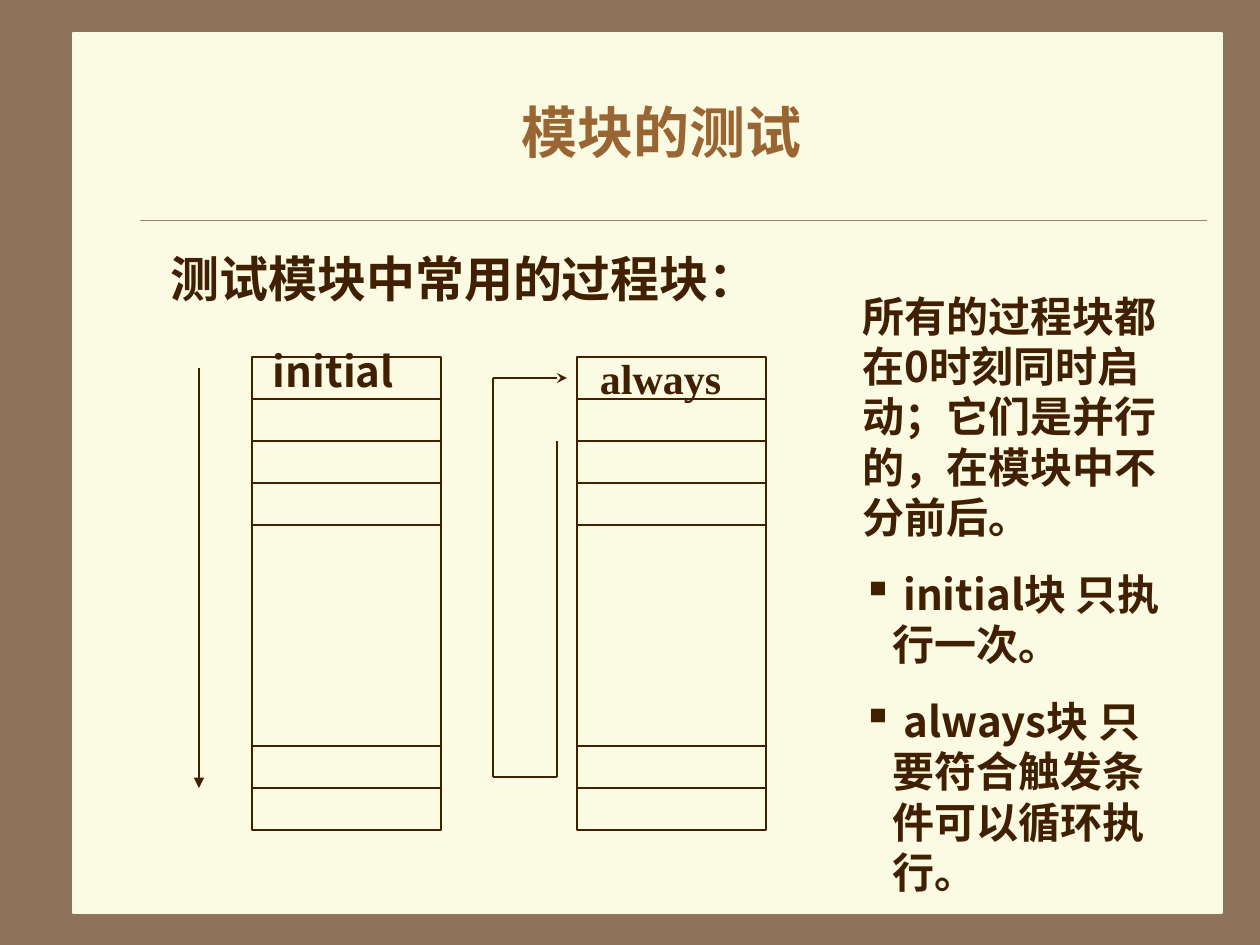
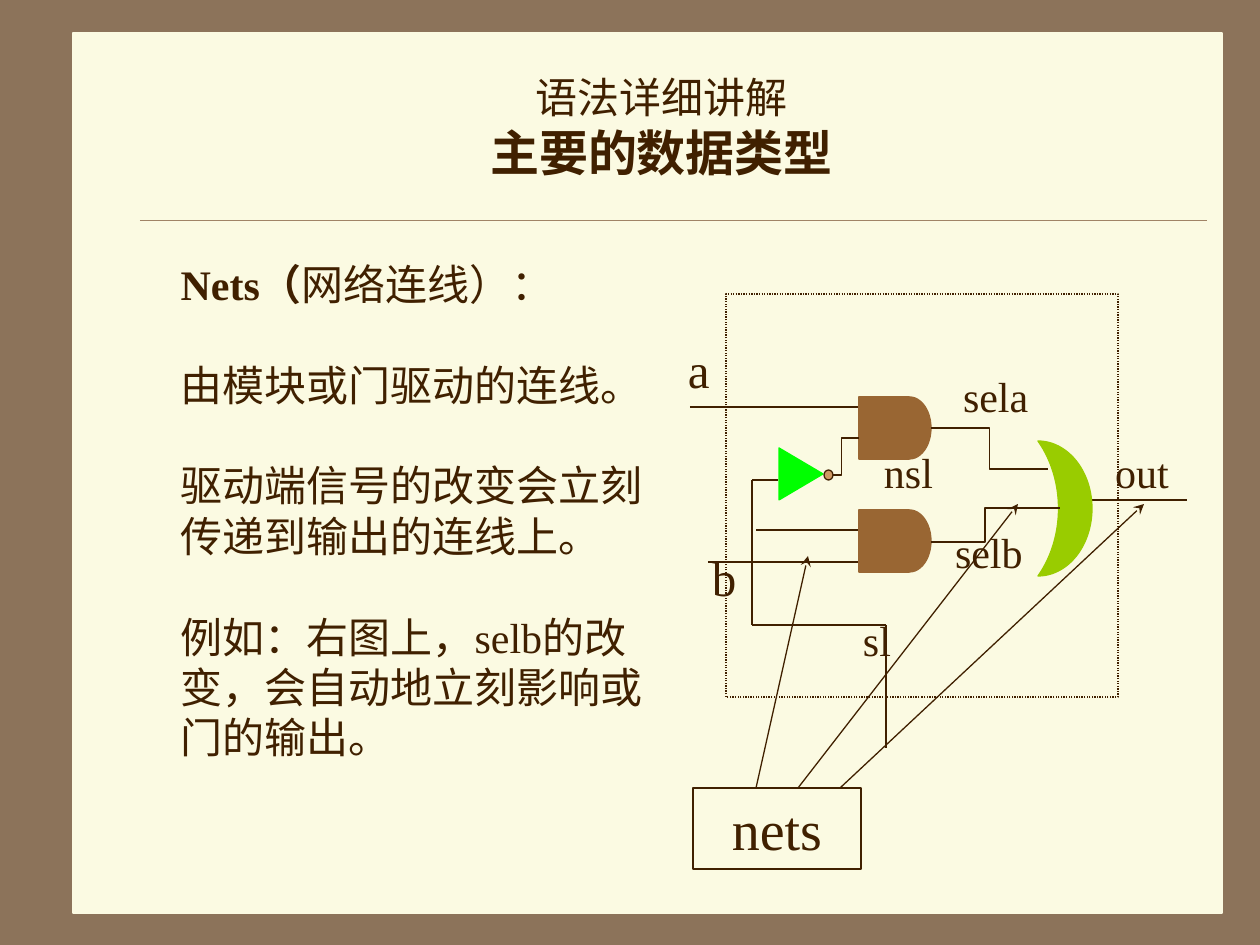
from dataclasses import dataclass
from itertools import pairwise

from lxml import etree
from pptx import Presentation
from pptx.dml.color import RGBColor
from pptx.enum.dml import MSO_LINE
from pptx.enum.shapes import MSO_CONNECTOR, MSO_SHAPE
from pptx.enum.text import MSO_ANCHOR, MSO_AUTO_SIZE, PP_ALIGN
from pptx.oxml.ns import qn
from pptx.slide import Slide
from pptx.util import Emu, Pt

PX = 914400 / 126
PX_PER_POINT = 126 / 72
LINE_HEIGHT = 1.2

FRAME = RGBColor(0x8C, 0x73, 0x5A)
PAPER = RGBColor(0xFB, 0xFA, 0xE2)
RULE = RGBColor(0xA0, 0x83, 0x66)
INK = RGBColor(0x40, 0x20, 0x00)
BROWN = RGBColor(0x99, 0x66, 0x33)
TAN = RGBColor(0xCE, 0x99, 0x64)
GREEN = RGBColor(0x00, 0xFF, 0x00)
LIME = RGBColor(0x99, 0xCC, 0x00)

SANS = "Noto Sans CJK SC"
SERIF = "Times New Roman"

RECTANGLE, OVAL = MSO_SHAPE.RECTANGLE, MSO_SHAPE.OVAL
TRIANGLE, MOON = MSO_SHAPE.ISOSCELES_TRIANGLE, MSO_SHAPE.MOON
STRAIGHT, ELBOW = MSO_CONNECTOR.STRAIGHT, MSO_CONNECTOR.ELBOW
DOTTED = MSO_LINE.ROUND_DOT
TOP, MIDDLE = MSO_ANCHOR.TOP, MSO_ANCHOR.MIDDLE
LEFT, CENTER = PP_ALIGN.LEFT, PP_ALIGN.CENTER
FIXED_SIZE = MSO_AUTO_SIZE.NONE


def px(*lengths):
    return [Emu(round(length * PX)) for length in lengths]


def set_type(para, size, font=SANS, bold=False, color=INK, align=LEFT):
    para.alignment = align
    para.space_before = Pt(0)
    para.line_spacing = Pt(size * LINE_HEIGHT)
    for run in para.runs:
        run.font.size = Pt(size)
        run.font.bold = bold
        run.font.color.rgb = color
        run.font.name = font
        etree.SubElement(run.font._element, qn("a:ea"), typeface=SANS)


def set_indent(para, margin, bullet=None):
    """Hang the first line by the margin, with or without a bullet."""
    props = para._p.get_or_add_pPr()
    width = px(margin)[0]
    props.set("marL", str(width))
    props.set("indent", str(-width))
    if bullet:
        etree.SubElement(props, qn("a:buChar"), char=bullet)
    else:
        etree.SubElement(props, qn("a:buNone"))


@dataclass
class Region:
    """Part of a page; everything in it is placed from its left top corner."""
    page: Slide
    left: int = 0
    top: int = 0

    def shape(self, kind, left, top, width, height, fill=None, line=INK):
        shape = self.page.shapes.add_shape(
            kind, *px(self.left + left, self.top + top, width, height))
        shape.shadow.inherit = False
        if fill is None:
            shape.fill.background()
        else:
            shape.fill.solid()
            shape.fill.fore_color.rgb = fill
        shape.line.color.rgb = line
        shape.line.width = Pt(0.75)
        return shape

    def line(self, start, end, arrow=None, bend=None, color=INK, weight=0.75):
        """Draw a wire; bend is the share of its width where an elbow turns."""
        connector = self.page.shapes.add_connector(
            STRAIGHT if bend is None else ELBOW,
            *px(self.left + start[0], self.top + start[1],
                self.left + end[0], self.top + end[1]))
        connector.line.color.rgb = color
        connector.line.width = Pt(weight)
        props = connector.element.spPr
        if arrow:
            etree.SubElement(props.find(qn("a:ln")), qn("a:tailEnd"), type=arrow)
        if bend is not None:
            guides = props.find(qn("a:prstGeom")).find(qn("a:avLst"))
            etree.SubElement(guides, qn("a:gd"), name="adj1",
                             fmla=f"val {round(bend * 100000)}")
        etree.SubElement(props, qn("a:effectLst"))
        return connector

    def path_line(self, points, arrow=None):
        """Join the points; only the last stretch carries the arrowhead."""
        stretches = list(pairwise(points))
        for start, end in stretches[:-1]:
            self.line(start, end)
        self.line(*stretches[-1], arrow=arrow)

    def text_box(self, left, top, width, height, text):
        box = self.page.shapes.add_textbox(
            *px(self.left + left, self.top + top, width, height))
        box.text_frame.word_wrap = True
        box.text_frame.text = text
        return box.text_frame

    def label(self, text, left, baseline, size=24, font=SERIF, bold=False):
        em = round(size * PX_PER_POINT)
        frame = self.text_box(left, baseline - em, em * (len(text) + 1),
                              round(em * LINE_HEIGHT), text)
        frame.margin_left = frame.margin_right = 0
        frame.margin_top = frame.margin_bottom = 0
        set_type(frame.paragraphs[0], size, font, bold)


def fill_placeholder(placeholder, box, text, anchor):
    placeholder.left, placeholder.top, placeholder.width, placeholder.height = px(*box)
    frame = placeholder.text_frame
    frame.text = text
    frame.auto_size = FIXED_SIZE
    frame.vertical_anchor = anchor
    return frame.paragraphs


def add_page(deck, title, title_box, body, body_box):
    page = deck.slides.add_slide(deck.slide_layouts[1])
    titles = fill_placeholder(page.shapes.title, title_box, title, MIDDLE)
    lines = fill_placeholder(page.placeholders[1], body_box, body, TOP)
    for para in lines:
        set_indent(para, 48)
    return page, titles, lines


def dress_layout(deck):
    """Put the frame, the paper and the rule under the title on the layout."""
    deck.slide_master.background.fill.solid()
    deck.slide_master.background.fill.fore_color.rgb = FRAME
    layout = deck.slide_layouts[1]
    for placeholder in list(layout.placeholders):
        if placeholder.placeholder_format.idx >= 10:
            layout.shapes.element.remove(placeholder.element)
    return layout


def move_to_layout(layout, shapes):
    for position, shape in enumerate(shapes, start=2):
        layout.shapes.element.insert(position, shape.element)


def draw_paper(page):
    whole = Region(page)
    return [whole.shape(RECTANGLE, 73, 33, 1149, 880, PAPER, PAPER),
            whole.line((140, 220), (1207, 220), color=RULE, weight=0.25)]


def draw_process_block(region):
    region.shape(RECTANGLE, 0, 0, 189, 473)
    for row in (42, 84, 126, 168, 389, 431):
        region.line((0, row), (189, row))


def draw_process_notes(region):
    frame = region.text_box(
        0, 0, 325, 570,
        "所有的过程块都在0时刻同时启动；它们是并行的，在模块中不分前后。\n"
        " initial块 只执行一次。\n"
        " always块 只要符合触发条件可以循环执行。")
    for para in frame.paragraphs[1:]:
        set_indent(para, 30, "▪")
    for para in frame.paragraphs:
        set_type(para, 24, bold=True)
    for para in frame.paragraphs[1:]:
        para.space_before = Pt(15)


def build_test_page(deck):
    page, titles, lines = add_page(
        deck, "模块的测试", (126, 95, 1071, 73),
        "测试模块中常用的过程块：", (158, 242, 1040, 84))
    set_type(titles[0], 32, bold=True, color=BROWN, align=CENTER)
    set_type(lines[0], 28, bold=True)

    initial = Region(page, 252, 357)
    draw_process_block(initial)
    initial.label("initial", 21, 31, font=SANS, bold=True)
    initial.line((-53, 11), (-53, 431), "triangle")

    always = Region(page, 577, 357)
    draw_process_block(always)
    always.label("always", 23, 38, bold=True)
    always.path_line([(-20, 84), (-20, 420), (-84, 420), (-84, 21), (-10, 21)],
                     "stealth")

    draw_process_notes(Region(page, 850, 284))
    return page


def draw_and_gate(region):
    region.shape(OVAL, 29, 0, 43, 62, BROWN, BROWN)
    region.shape(RECTANGLE, 0, 0, 50, 62, BROWN, BROWN)


def draw_nets_box(region):
    box = region.shape(RECTANGLE, 0, 0, 168, 81)
    box.text_frame.text = "nets"
    box.text_frame.vertical_anchor = MIDDLE
    set_type(box.text_frame.paragraphs[0], 32, SERIF, align=CENTER)
    for start, end in (((63, 0), (115, -232)), ((105, 0), (325, -284)),
                       ((147, 0), (451, -284))):
        region.line(start, end, "stealth")


def draw_circuit(region):
    page, left, top = region.page, region.left, region.top
    draw_nets_box(Region(page, left + 3, top + 498))
    for start, end in (((0, 117), (169, 117)), ((18, 272), (169, 272)),
                       ((66, 240), (171, 240)), ((392, 210), (497, 210))):
        region.line(start, end)
    region.path_line([(88, 190), (62, 190), (62, 335), (196, 335), (196, 458)])
    for gate_top in (107, 220):
        draw_and_gate(Region(page, left + 169, top + gate_top))

    inverter = region.shape(TRIANGLE, 85, 162, 52, 44, GREEN, GREEN)
    inverter.rotation = 90
    region.line((134, 185), (169, 148), bend=0.5)
    region.shape(OVAL, 134, 180, 9, 10, TAN)
    or_gate = region.shape(MOON, 348, 151, 54, 135, LIME, LIME)
    or_gate.rotation = 180
    or_gate.adjustments[0] = 0.62
    region.line((241, 138), (358, 179), bend=0.5)
    region.line((241, 252), (370, 218), bend=0.42)

    outline = region.shape(RECTANGLE, 36, 4, 392, 403)
    outline.line.dash_style = DOTTED
    for text, label_left, baseline, size in (
            ("a", -2, 99, 28), ("b", 22, 307, 28), ("sl", 173, 367, 24),
            ("nsl", 194, 199, 24), ("sela", 273, 123, 24),
            ("selb", 265, 279, 24), ("out", 425, 199, 24)):
        region.label(text, label_left, baseline, size)


def build_nets_page(deck):
    page, titles, lines = add_page(
        deck, "语法详细讲解\n主要的数据类型", (126, 53, 1071, 147),
        "Nets（\n由模块或门驱动的连线。\n"
        "驱动端信号的改变会立刻\n传递到输出的连线上。\n"
        "例如：右图上，selb的改\n变，会自动地立刻影响或\n门的输出。",
        (168, 252, 494, 630))
    set_type(titles[0], 24, align=CENTER)
    set_type(titles[1], 28, bold=True, align=CENTER)
    lines[0].add_run().text = "网络连线）："
    for para in lines:
        set_type(para, 24, SERIF)
    lines[0].runs[0].font.bold = True
    for first in (1, 2, 4):
        lines[first].space_before = Pt(24 * LINE_HEIGHT)
    draw_circuit(Region(page, 690, 290))


def main():
    deck = Presentation()
    deck.slide_width, deck.slide_height = px(1260, 945)
    layout = dress_layout(deck)
    test_page = build_test_page(deck)
    move_to_layout(layout, draw_paper(test_page))
    build_nets_page(deck)
    deck.save("out.pptx")


if __name__ == "__main__":
    main()
